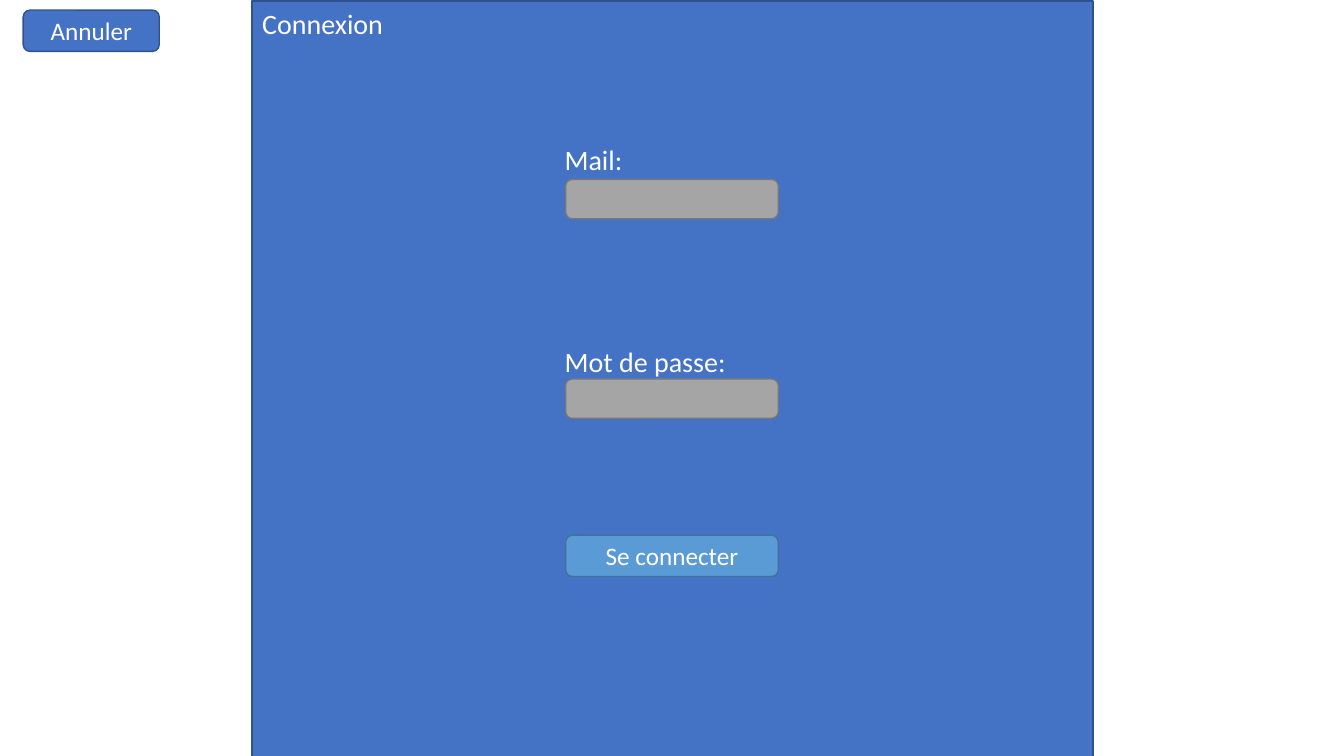
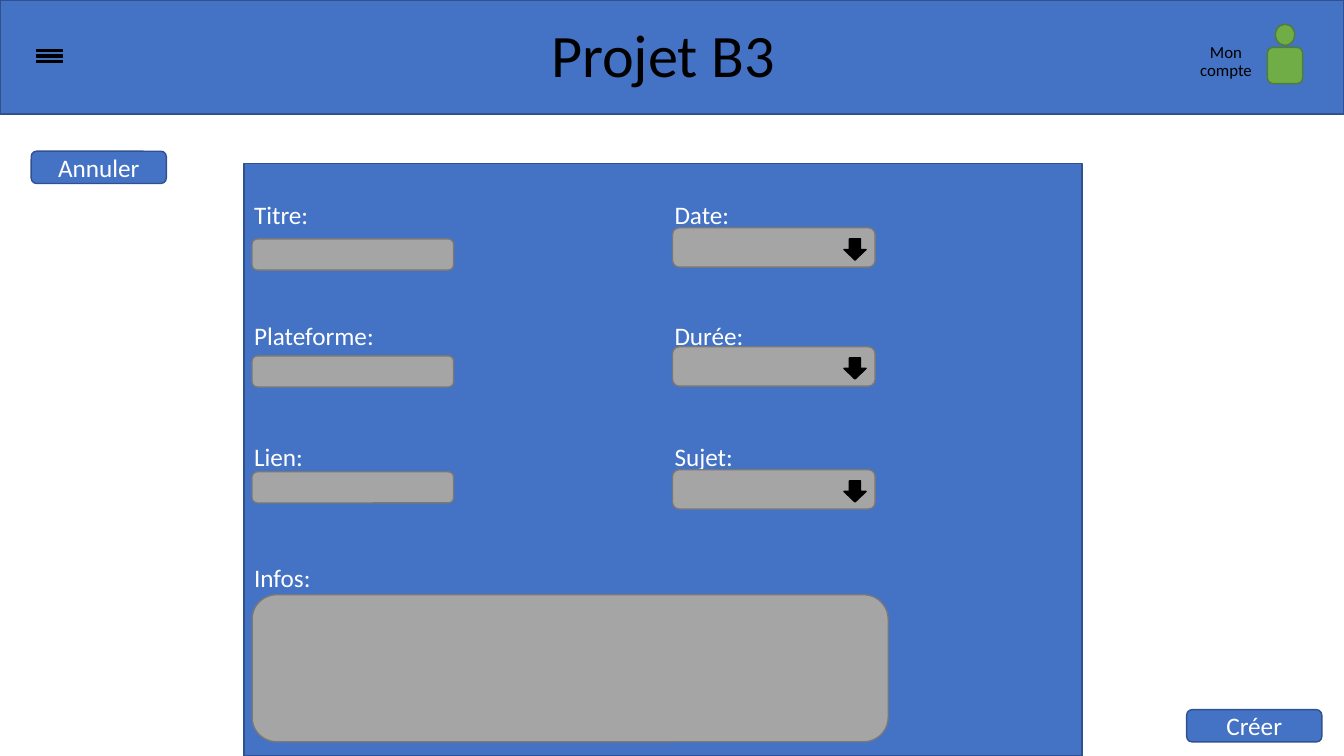
from pptx import Presentation
from pptx.dml.color import RGBColor
from pptx.enum.shapes import MSO_SHAPE
from pptx.enum.text import MSO_ANCHOR, PP_ALIGN
from pptx.util import Inches, Pt

FONT = "Calibri"
WHITE = RGBColor(0xFF, 0xFF, 0xFF)
BLACK = RGBColor(0x00, 0x00, 0x00)
BLUE = RGBColor(0x44, 0x72, 0xC4)
BLUE_EDGE = RGBColor(0x2F, 0x52, 0x8F)
SKY = RGBColor(0x5B, 0x9B, 0xD5)
SKY_EDGE = RGBColor(0x41, 0x71, 0x9C)
GREY = RGBColor(0xA5, 0xA5, 0xA5)
GREY_EDGE = RGBColor(0x78, 0x78, 0x78)
GREEN = RGBColor(0x70, 0xAD, 0x47)
GREEN_EDGE = RGBColor(0x50, 0x7E, 0x32)

LABEL_HEIGHT = 0.31
FIELD_HEIGHT = 0.39


def box(left, top, width, height):
    return [Inches(v) for v in (left, top, width, height)]


def add_block(slide, kind, area, fill=BLUE, edge=BLUE_EDGE):
    sp = slide.shapes.add_shape(kind, *box(*area))
    sp.shadow.inherit = False
    sp.fill.solid()
    sp.fill.fore_color.rgb = fill
    sp.line.color.rgb = edge
    sp.line.width = Pt(1)
    return sp


def write(sp, text, size, color, align=PP_ALIGN.LEFT, anchor=MSO_ANCHOR.TOP,
          spacing=1.0):
    """Fill a shape with text, without inner margins."""
    tf = sp.text_frame
    tf.text = text
    tf.word_wrap = True
    tf.vertical_anchor = anchor
    tf.margin_left = tf.margin_right = tf.margin_top = tf.margin_bottom = 0
    for p in tf.paragraphs:
        p.alignment = align
        p.line_spacing = spacing
        for r in p.runs:
            r.font.name = FONT
            r.font.size = Pt(size)
            r.font.color.rgb = color


def add_title(slide, text, area, size, color, **layout):
    """Place the title placeholder in front of what is already drawn."""
    sp = slide.shapes.title
    sp.left, sp.top, sp.width, sp.height = box(*area)
    write(sp, text, size, color, **layout)
    slide.shapes._spTree.append(sp._element)


def add_label(slide, text, left, top, size=18):
    sp = slide.shapes.add_textbox(*box(left, top, 2, LABEL_HEIGHT))
    write(sp, text, size, WHITE)


def add_button(slide, text, area, fill=BLUE, edge=BLUE_EDGE):
    sp = add_block(slide, MSO_SHAPE.ROUNDED_RECTANGLE, area, fill, edge)
    write(sp, text, 18, WHITE, PP_ALIGN.CENTER, MSO_ANCHOR.MIDDLE)


def add_field(slide, left, top, width, height=FIELD_HEIGHT):
    add_block(slide, MSO_SHAPE.ROUNDED_RECTANGLE, (left, top, width, height),
              GREY, GREY_EDGE)


def add_dropdown(slide, left, top, width):
    add_field(slide, left, top, width)
    add_block(slide, MSO_SHAPE.DOWN_ARROW,
              (left + width - 0.31, top + 0.11, 0.22, 0.21), BLACK, BLACK)


def add_menu_icon(slide):
    for i in range(3):
        add_block(slide, MSO_SHAPE.RECTANGLE,
                  (0.36, 0.49 + 0.055 * i, 0.26, 0.02), BLACK, BLACK)


def add_account(slide):
    add_block(slide, MSO_SHAPE.ROUNDED_RECTANGLE, (12.57, 0.47, 0.35, 0.36),
              GREEN, GREEN_EDGE)
    add_block(slide, MSO_SHAPE.OVAL, (12.65, 0.24, 0.19, 0.21),
              GREEN, GREEN_EDGE)
    sp = slide.shapes.add_textbox(*box(11.58, 0.43, 1.16, 0.36))
    write(sp, "Mon\ncompte", 12, BLACK, PP_ALIGN.CENTER, MSO_ANCHOR.BOTTOM,
          0.85)


def build_login(slide):
    left, width = 5.61, 2.11
    add_block(slide, MSO_SHAPE.RECTANGLE, (2.5, 0.01, 8.34, 7.5))
    add_title(slide, "Connexion", (2.6, 0.06, 4, 0.34), 20, WHITE)
    add_button(slide, "Annuler", (0.23, 0.1, 1.35, 0.41))
    add_button(slide, "Se connecter", (left, 5.31, width, 0.41), SKY, SKY_EDGE)
    for text, label_top, field_top in (("Mail:", 1.41, 1.78),
                                       ("Mot de passe:", 3.42, 3.76)):
        add_label(slide, text, left - 0.01, label_top, 20)
        add_field(slide, left, field_top, width)


def build_project_form(slide):
    add_block(slide, MSO_SHAPE.RECTANGLE, (0, 0, 13.33, 1.13))
    add_title(slide, "Projet B3", (-0.09, 0.14, 13.33, 0.88), 43, BLACK,
              align=PP_ALIGN.CENTER, anchor=MSO_ANCHOR.MIDDLE, spacing=0.9)
    add_menu_icon(slide)
    add_account(slide)
    add_block(slide, MSO_SHAPE.RECTANGLE, (2.42, 1.62, 8.31, 5.88))
    add_button(slide, "Annuler", (0.31, 1.5, 1.34, 0.32))
    add_button(slide, "Créer", (11.77, 7.04, 1.34, 0.32))

    label_top, label_step = 1.98, 1.2
    rows = (("Titre:", 2.37, "Date:", 2.26),
            ("Plateforme:", 3.53, "Durée:", 3.44),
            ("Lien:", 4.68, "Sujet:", 4.66))
    for i, (text, field_top, choice, choice_top) in enumerate(rows):
        top = label_top + label_step * i
        add_label(slide, text, 2.52, top)
        add_label(slide, choice, 6.69, top)
        add_field(slide, 2.5, field_top, 2, 0.31)
        add_dropdown(slide, 6.67, choice_top, 2.01)
    add_label(slide, "Infos:", 2.52, label_top + label_step * len(rows))
    add_field(slide, 2.5, 5.9, 6.31, 1.46)


def main():
    prs = Presentation()
    prs.slide_width = Inches(13.33)
    prs.slide_height = Inches(7.5)
    title_only = prs.slide_layouts[5]
    for build in (build_login, build_project_form):
        build(prs.slides.add_slide(title_only))
    prs.save("out.pptx")


if __name__ == "__main__":
    main()
